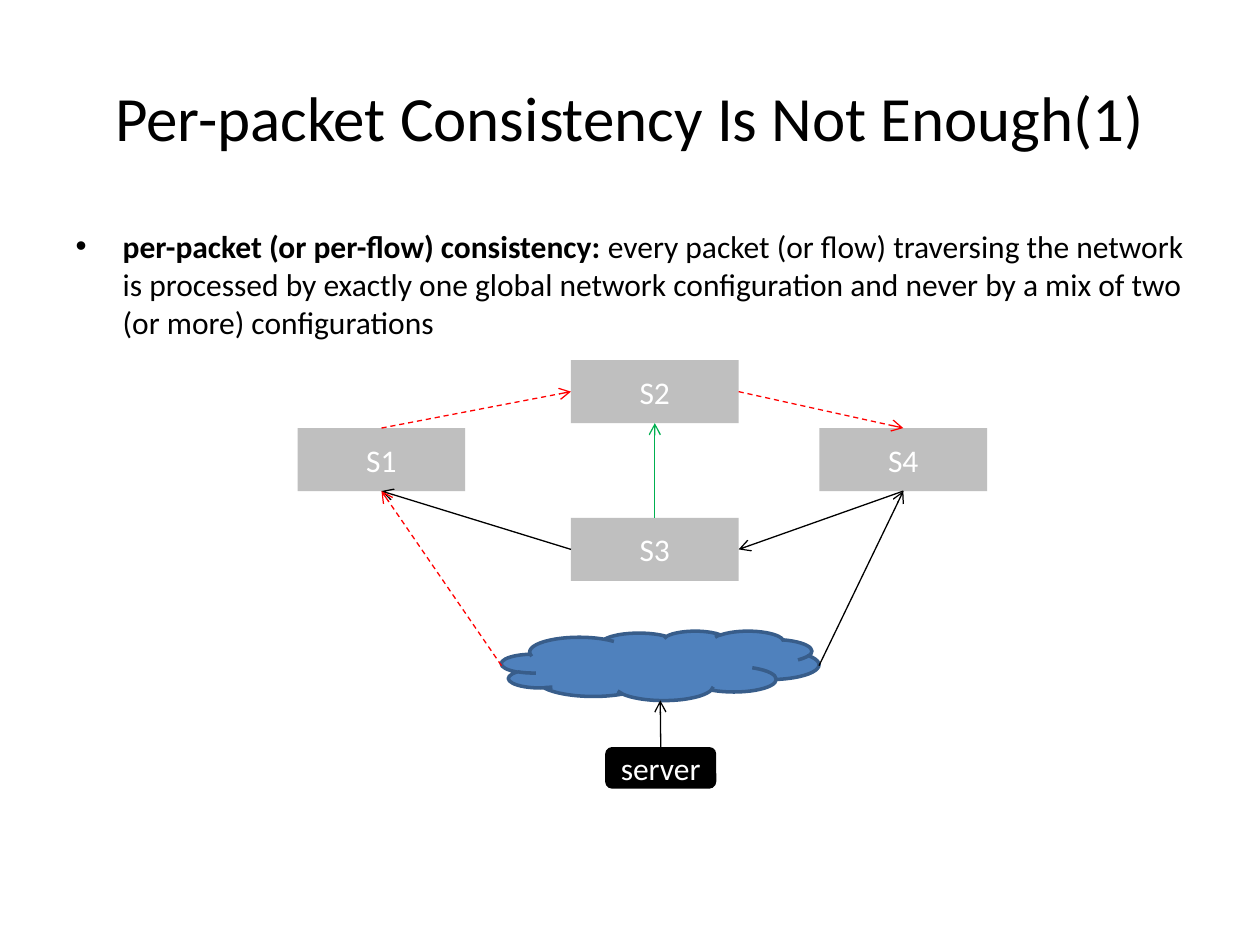
from lxml.etree import SubElement
from pptx import Presentation
from pptx.dml.color import RGBColor as RGB
from pptx.enum.dml import MSO_LINE as Dash
from pptx.enum.shapes import MSO_CONNECTOR as Link, MSO_SHAPE as Kind
from pptx.enum.text import MSO_ANCHOR as Anchor, PP_ALIGN as Align
from pptx.oxml.ns import qn
from pptx.util import Cm, Pt

HUES = {"ink": "000000", "pale": "FFFFFF", "node": "BFBFBF", "red": "FF0000",
        "green": "00B050", "cloud": "4F81BD", "edge": "385D8A"}
FONT = "Calibri"


def hue(name):
    return RGB.from_string(HUES[name])


def add_run(para, text, size, tint="ink", bold=False):
    run = para.add_run()
    run.text = text
    font = run.font
    font.name, font.size, font.bold = FONT, Pt(size), bold
    font.color.rgb = hue(tint)


def place(shape, box):
    shape.left, shape.top, shape.width, shape.height = map(Cm, box)


def add_title(slide, box):
    title = slide.shapes.title
    place(title, box)
    title.text_frame.vertical_anchor = Anchor.MIDDLE
    para = title.text_frame.paragraphs[0]
    para.alignment = Align.CENTER
    add_run(para, "Per-packet Consistency Is Not Enough(1)", 36)


def add_list(slide, box):
    body = slide.placeholders[1]
    place(body, box)
    para = body.text_frame.paragraphs[0]
    para.space_before = Pt(4.5)
    props = para._p.get_or_add_pPr()
    props.set("marL", str(Cm(0.95)))
    props.set("indent", str(-Cm(0.95)))
    SubElement(props, qn("a:buChar")).set("char", "•")
    add_run(para, "per-packet (or per-flow) consistency: ", 18, bold=True)
    add_run(para, "every packet (or flow) traversing the network is processed "
            "by exactly one global network configuration and never by a mix "
            "of two (or more) configurations", 18)


def add_node(slide, kind, box, fill, text="", edge=None):
    node = slide.shapes.add_shape(kind, *map(Cm, box))
    node.shadow.inherit = False
    node.fill.solid()
    node.fill.fore_color.rgb = hue(fill)
    if edge:
        node.line.color.rgb = hue(edge)
        node.line.width = Pt(2)
    else:
        node.line.fill.background()
    if text:
        node.text_frame.vertical_anchor = Anchor.MIDDLE
        para = node.text_frame.paragraphs[0]
        para.alignment = Align.CENTER
        add_run(para, text, 18, "pale")
    return node


def spot(node, side):
    across, down = {"top": (0.5, 0), "left": (0, 0.5),
                    "bottom": (0.5, 1), "right": (1, 0.5)}[side]
    return (int(node.left + across * node.width),
            int(node.top + down * node.height))


def add_arrow(slide, start, end, tint):
    arrow = slide.shapes.add_connector(Link.STRAIGHT, *start, *end)
    arrow.line.color.rgb = hue(tint)
    arrow.line.width = Pt(0.75)
    if tint == "red":
        arrow.line.dash_style = Dash.DASH
    SubElement(arrow.line._ln, qn("a:tailEnd")).set("type", "arrow")
    SubElement(arrow._element.spPr, qn("a:effectLst"))


def add_graph(slide, box):
    left, top, width, height = box
    wide, high = 3.38, 1.27
    mid = left + 5.51
    side = top + 1.37
    spots = {"S1": (left, side), "S2": (mid, top),
             "S3": (mid, top + 3.18), "S4": (left + width - wide, side)}
    nodes = {name: add_node(slide, Kind.RECTANGLE, (*at, wide, high), "node", name)
             for name, at in spots.items()}
    nodes["cloud"] = add_node(slide, Kind.CLOUD, (left + 4.11, top + 5.46, 6.4, 1.4),
                              "cloud", edge="edge")
    nodes["server"] = add_node(slide, Kind.ROUNDED_RECTANGLE,
                               (left + 6.2, top + height - 0.84, 2.24, 0.84),
                               "ink", "server")
    links = [("S1", "top", "S2", "left", "red"),
             ("S2", "right", "S4", "top", "red"),
             ("S4", "bottom", "S3", "right", "ink"),
             ("S3", "left", "S1", "bottom", "ink"),
             ("S3", "top", "S2", "bottom", "green"),
             ("server", "top", "cloud", "bottom", "ink"),
             ("cloud", "right", "S4", "bottom", "ink"),
             ("cloud", "left", "S1", "bottom", "red")]
    for tail, out, head, into, tint in links:
        add_arrow(slide, spot(nodes[tail], out), spot(nodes[head], into), tint)


def main():
    deck = Presentation()
    deck.slide_width, deck.slide_height = Cm(25.4), Cm(19.05)
    slide = deck.slides.add_slide(deck.slide_layouts[1])
    add_title(slide, (1.27, 0.76, 22.86, 3.18))
    add_list(slide, (1.27, 4.45, 22.86, 12.57))
    add_graph(slide, (6, 7.26, 13.9, 8.64))
    deck.save("out.pptx")


if __name__ == "__main__":
    main()
